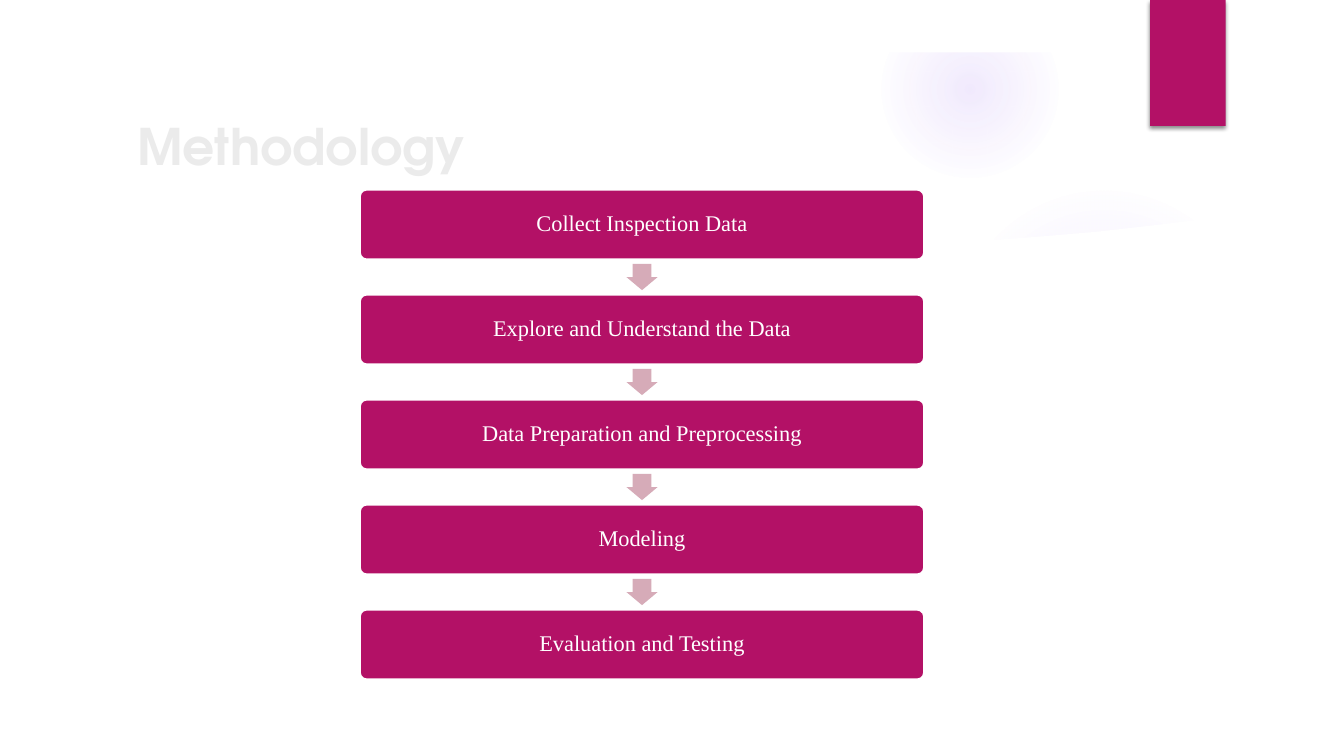
from pptx import Presentation
from pptx.dml.color import RGBColor
from pptx.enum import shapes, text
from pptx.oxml import parse_xml
from pptx.oxml.ns import nsdecls
from pptx.util import Pt

TITLE = "Methodology"
STEPS = [
    "Collect Inspection Data",
    "Explore and Understand the Data",
    "Data Preparation and Preprocessing",
    "Modeling",
    "Evaluation and Testing",
]
PINK, ROSE, WHITE, GREY, LILAC = "B31166", "D6ABB8", "FFFFFF", "EBEBEB", "9B6BF2"
# Glows: left, top, size, then (stop %, alpha %) from the centre outwards
GLOWS = [
    (677.5, 131.8, 221.8, [(0, 7), (36, 6), (69, 0)]),
    (630, 0.7, 126, [(0, 14), (36, 7), (73, 0)]),
]
# White panel whose curved top edge cuts the lower glow
PANEL = [(670, 174), (703, 172), (743, 169), (783, 165.6), (824, 161),
         (864, 156), (904, 150), (924, 147), (924, 360), (670, 360)]
BAND = 37.4  # height of the white margin above the upper glow

LEFT, TOP, WIDE, HIGH, PITCH = 257, 135.4, 403.2, 50, 75
HEAD_W, HEAD_H = 22.3, 18.7

KIND = shapes.MSO_SHAPE
deck = Presentation()
deck.slide_width, deck.slide_height = Pt(960), Pt(540)
slide = deck.slides.add_slide(deck.slide_layouts[5])


def rgb(code):
    """Turn a hex string into a colour."""
    return RGBColor.from_string(code)


def paint(shape, fill, line=None):
    """Give a shape a flat fill, an optional line and no shadow."""
    shape.shadow.inherit = False
    shape.fill.solid()
    shape.fill.fore_color.rgb = rgb(fill)
    if line:
        shape.line.color.rgb = rgb(line)
        shape.line.width = Pt(1.5)
    else:
        shape.line.fill.background()
    return shape


def draw(kind, x, y, w, h, fill, line=None):
    """Add a painted preset shape."""
    shape = slide.shapes.add_shape(kind, Pt(x), Pt(y), Pt(w), Pt(h))
    return paint(shape, fill, line)


def write(frame, words, font, size, color, align, bold=False):
    """Write one run, centred vertically in its frame."""
    frame.word_wrap = True
    frame.auto_size = text.MSO_AUTO_SIZE.NONE
    frame.vertical_anchor = text.MSO_ANCHOR.MIDDLE
    para = frame.paragraphs[0]
    para.alignment = align
    run = para.add_run()
    run.text = words
    run.font.name, run.font.size, run.font.bold = font, Pt(size), bold
    run.font.color.rgb = rgb(color)
    return para


def glow(x, y, size, stops):
    """Add a circle that fades out from its centre."""
    shape = draw(KIND.OVAL, x, y, size, size, LILAC)
    marks = "".join(
        f'<a:gs pos="{pos * 1000}"><a:srgbClr val="{LILAC}">'
        f'<a:alpha val="{alpha * 1000}"/></a:srgbClr></a:gs>'
        for pos, alpha in stops)
    fade = parse_xml(
        f'<a:gradFill {nsdecls("a")}><a:gsLst>{marks}</a:gsLst>'
        '<a:path path="circle"><a:fillToRect l="50000" t="50000" '
        'r="50000" b="50000"/></a:path></a:gradFill>')
    props = shape._element.spPr
    props.replace(props.find("{*}solidFill"), fade)


def shade(shape):
    """Drop a soft shadow below a shape."""
    shape._element.spPr.find("{*}effectLst").append(parse_xml(
        f'<a:outerShdw {nsdecls("a")} blurRad="{Pt(3)}" dist="{Pt(2)}" '
        'dir="5400000" rotWithShape="0"><a:srgbClr val="000000">'
        '<a:alpha val="45000"/></a:srgbClr></a:outerShdw>'))


def step(num, words):
    """Add one step box, with an arrow to it from the box above."""
    y = TOP + num * PITCH
    if num:
        gap = PITCH - HIGH
        arrow = draw(KIND.DOWN_ARROW, LEFT + (WIDE - HEAD_W) / 2,
                     y - (gap + HEAD_H) / 2, HEAD_W, HEAD_H, ROSE)
        arrow.adjustments[0], arrow.adjustments[1] = 0.6, 0.5
    box = draw(KIND.ROUNDED_RECTANGLE, LEFT, y, WIDE, HIGH, PINK, WHITE)
    box.adjustments[0] = 0.1
    para = write(box.text_frame, words, "Times New Roman", 16, WHITE,
                 text.PP_ALIGN.CENTER)
    para.line_spacing = 0.9


for item in GLOWS:
    glow(*item)
pen = slide.shapes.build_freeform(*map(Pt, PANEL[0]), scale=1.0)
pen.add_line_segments([(Pt(x), Pt(y)) for x, y in PANEL[1:]], close=True)
paint(pen.convert_to_shape(), WHITE)
draw(KIND.RECTANGLE, 0, 0, 960, BAND, WHITE)
shade(draw(KIND.RECTANGLE, 821.5, 0, 54, 90, PINK))

title = slide.shapes.title
title.left, title.top, title.width, title.height = map(Pt, (90.7, 76.3, 690, 55.4))
write(title.text_frame, TITLE, "TeX Gyre Adventor", 36, GREY,
      text.PP_ALIGN.LEFT, bold=True)

for num, words in enumerate(STEPS):
    step(num, words)

deck.save("out.pptx")
